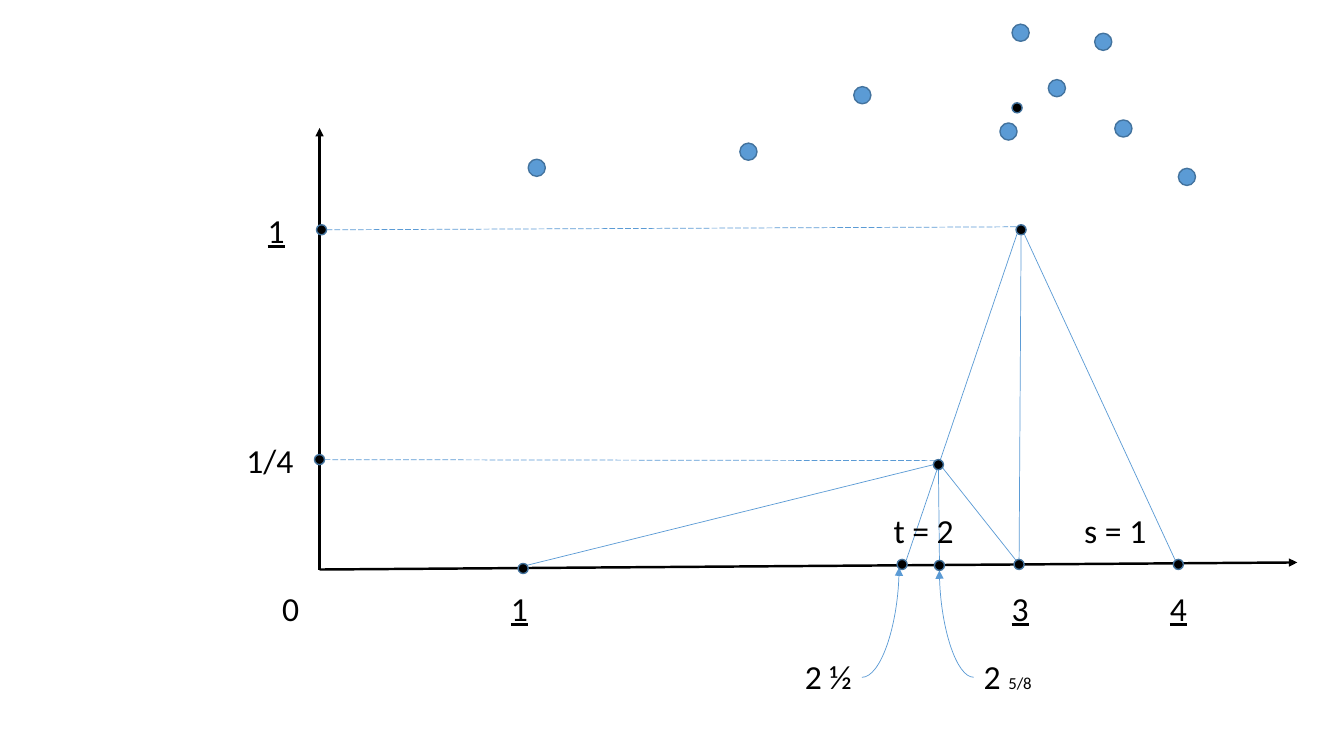
from pptx import Presentation
from pptx.dml.color import RGBColor
from pptx.enum.dml import MSO_LINE_DASH_STYLE as Dash
from pptx.enum.shapes import MSO_AUTO_SHAPE_TYPE as Shape, MSO_CONNECTOR_TYPE as Link
from pptx.enum.text import MSO_AUTO_SIZE as AutoSize, PP_ALIGN as Align
from pptx.oxml.ns import qn
from pptx.util import Inches, Pt
from lxml.etree import SubElement

BLACK = RGBColor(0x00, 0x00, 0x00)
BLUE = RGBColor(0x5B, 0x9B, 0xD5)
RIM = RGBColor(0x43, 0x73, 0x9E)

CELL = 0.1  # inches per grid column and row
COLUMNS, ROWS = 133.33, 75


def cells(count):
    return Inches(count * CELL)


def write(paragraph, text, size=24, underline=False):
    run = paragraph.add_run()
    run.text = text
    run.font.name = "Calibri"
    run.font.size = Pt(size)
    run.font.underline = underline or None
    run.font.color.rgb = BLACK


class Diagram:
    """Places points, lines and labels on one slide, in grid columns and rows."""

    def __init__(self, slide):
        self.shapes = slide.shapes

    def point(self, column, row, size=1, color=BLACK):
        dot = self.shapes.add_shape(Shape.OVAL, cells(column - size / 2),
                                    cells(row - size / 2), cells(size), cells(size))
        dot.shadow.inherit = False
        dot.fill.solid()
        dot.fill.fore_color.rgb = color
        dot.line.color.rgb = RIM
        dot.line.width = Pt(1)

    def line(self, start, end, color=BLUE, width=0.5, dash=None, arrow=False, curved=False):
        kind = Link.CURVE if curved else Link.STRAIGHT
        link = self.shapes.add_connector(kind, *map(cells, start + end))
        link.line.color.rgb = color
        link.line.width = Pt(width)
        if dash:
            link.line.dash_style = dash
        properties = link._element.spPr
        if curved:
            properties.find(qn("a:prstGeom")).set("prst", "curvedConnector2")
        if arrow:
            SubElement(properties.find(qn("a:ln")), qn("a:tailEnd"), type="triangle")
        SubElement(properties, qn("a:effectLst"))

    def label(self, text, left, top, width=5.4, align=Align.LEFT, underline=False, small=""):
        box = self.shapes.add_textbox(cells(left), cells(top), cells(width), cells(5))
        frame = box.text_frame
        frame.word_wrap = True
        frame.auto_size = AutoSize.SHAPE_TO_FIT_TEXT
        paragraph = frame.paragraphs[0]
        paragraph.alignment = align
        write(paragraph, text, underline=underline)
        if small:
            write(paragraph, small, size=12)


def main():
    deck = Presentation()
    deck.slide_width, deck.slide_height = cells(COLUMNS), cells(ROWS)
    diagram = Diagram(deck.slides.add_slide(deck.slide_layouts[6]))

    # Axes
    origin = (31.7, 56.5)
    for axis_end in [(128.7, 55.8), (31.7, 12.7)]:
        diagram.line(origin, axis_end, color=BLACK, width=1.75, arrow=True)

    # Sides and heights of the two triangles
    for start, end in [
        ((116.6, 55.6), (101.6, 23.2)), ((101.1, 55.5), (101.3, 23.3)),
        ((89.9, 55.6), (100.9, 23.2)), ((52.2, 56.1), (92.6, 46.1)),
        ((93.5, 46.4), (100.8, 55.6)), ((93.2, 55.6), (93.1, 46.6)),
    ]:
        diagram.line(start, end)

    # Dashed guides from the vertical axis to the peaks
    for start, end in [((32.4, 22.8), (100.9, 22.5)), ((32.2, 45.6), (92.8, 45.7))]:
        diagram.line(start, end, dash=Dash.LONG_DASH)

    # Curved pointers to the fractional values
    for start, end in [((85.5, 67.2), (89.2, 56.3)), ((96.6, 67.2), (93.2, 56.6))]:
        diagram.line(start, end, arrow=True, curved=True)

    # Points on the axes, the peaks, and the centre of the cluster
    for column, row in [
        (51.9, 56.4), (89.5, 56), (93.2, 56.1), (101.1, 56), (116.9, 56),
        (31.7, 45.6), (31.9, 22.8), (101.3, 22.8), (93.1, 46.1), (100.9, 10.7),
    ]:
        diagram.point(column, row)

    # Scattered points
    for column, row in [
        (53.25, 16.65), (74.25, 15.05), (85.55, 9.45), (100.05, 13.05), (101.25, 3.25),
        (104.85, 8.75), (109.45, 4.15), (111.45, 12.75), (117.75, 17.55),
    ]:
        diagram.point(column, row, size=1.7, color=BLUE)

    # Horizontal axis values
    axis_row, fraction_row, span_row = 57.8, 64.6, 50.1
    diagram.label("0", 27, axis_row)
    diagram.label("1", 49.7, axis_row, underline=True)
    for value, left in [("3", 98.5), ("4", 114.2)]:
        diagram.label(value, left, axis_row, align=Align.CENTER, underline=True)
    diagram.label("2 ½", 78.4, fraction_row, width=7.1, align=Align.RIGHT)
    diagram.label("2 ", 96.6, fraction_row, width=24.6, small="5/8")

    # Triangle spans
    for span, left in [("t = 2", 82.3), ("s = 1", 101.4)]:
        diagram.label(span, left, span_row, width=13.3, align=Align.RIGHT)

    # Vertical axis values
    diagram.label("1", 24.7, 20.3, align=Align.CENTER, underline=True)
    diagram.label("1/4", 4, 43.2, width=26.1, align=Align.RIGHT)

    deck.save("out.pptx")


if __name__ == "__main__":
    main()
